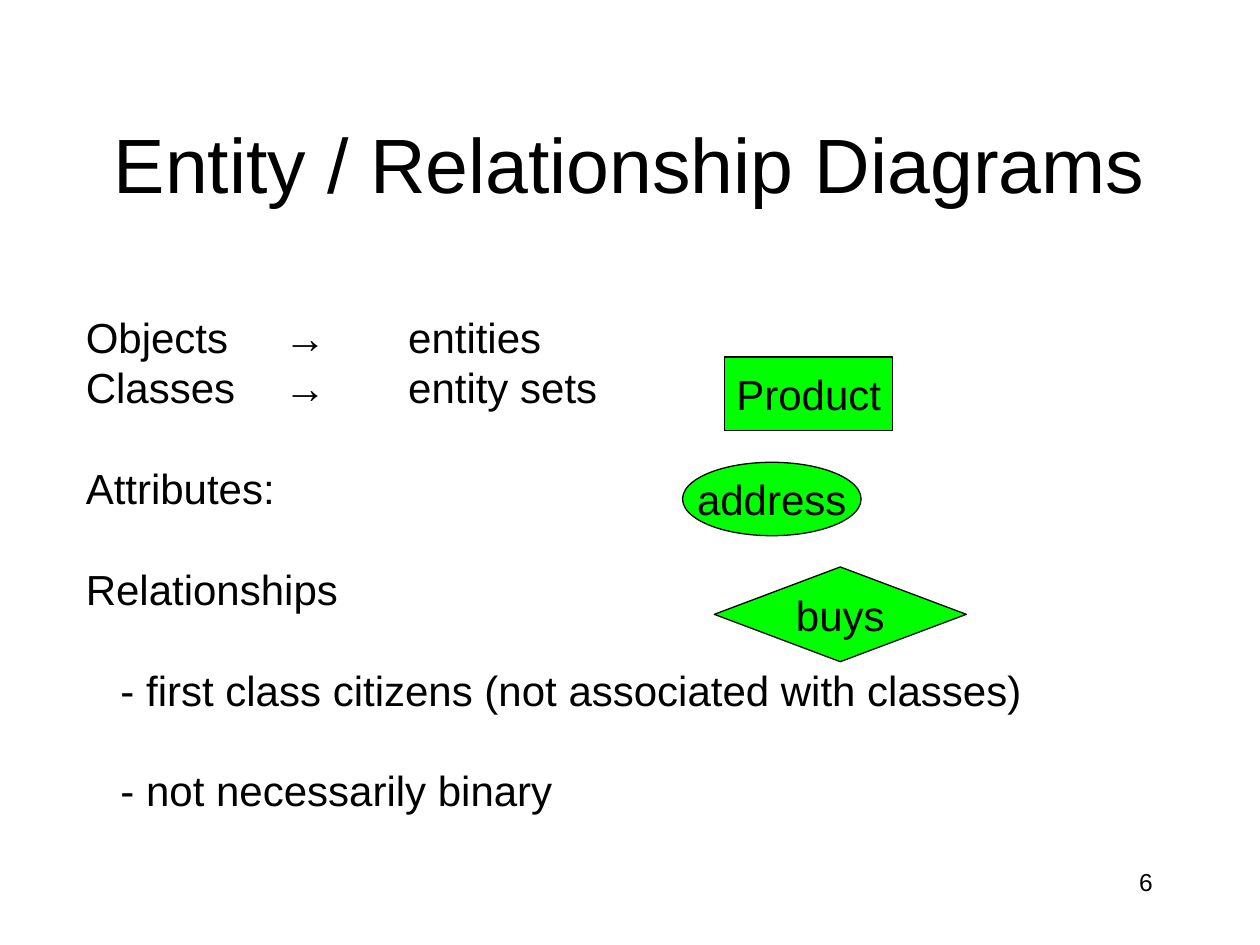
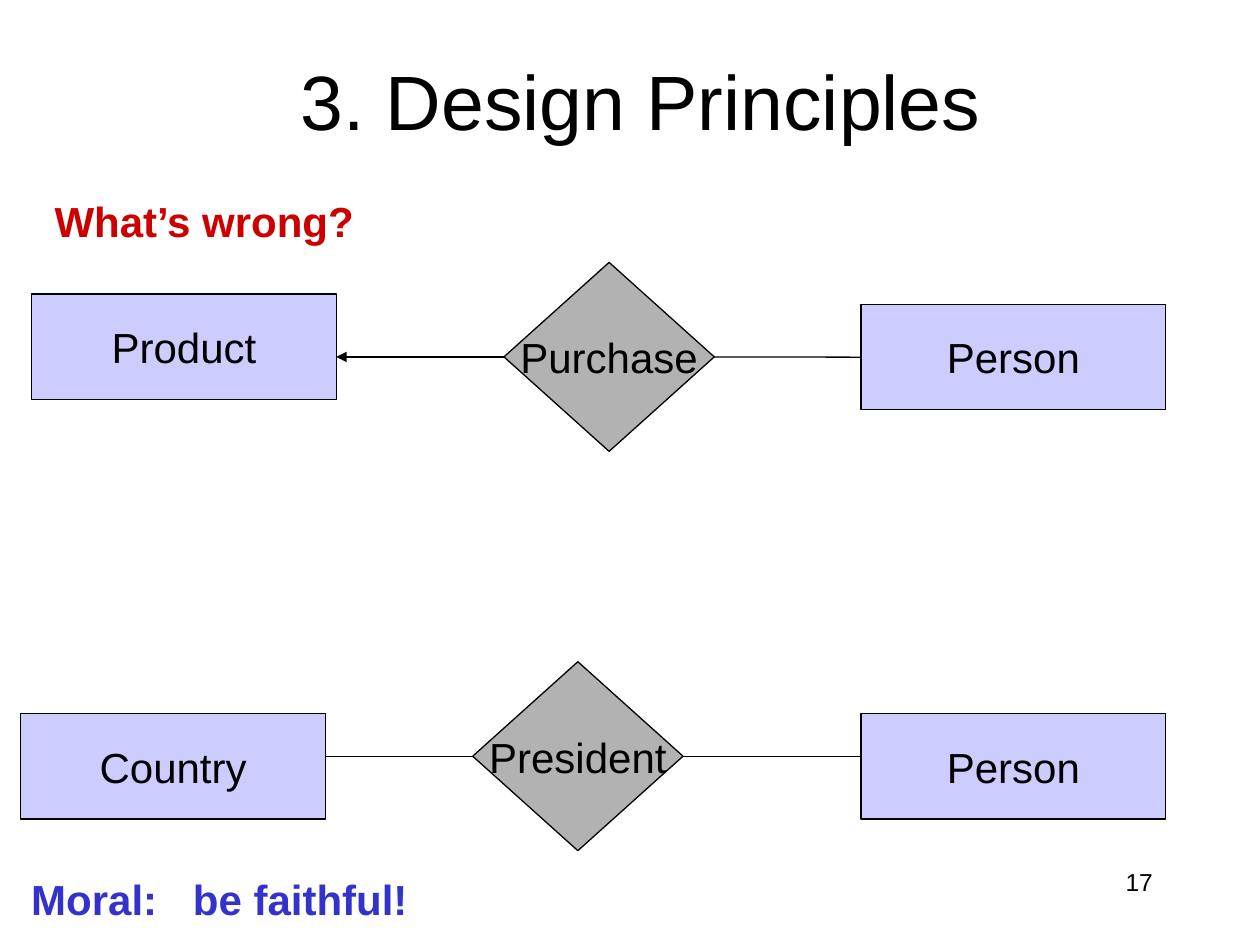
from lxml.etree import SubElement
from pptx import Presentation
from pptx.dml.color import RGBColor
from pptx.enum.shapes import MSO_CONNECTOR, MSO_SHAPE
from pptx.enum.text import MSO_ANCHOR, PP_ALIGN
from pptx.oxml.ns import qn
from pptx.util import Cm, Pt

BLACK, GREEN, GRAY, LILAC = "000000", "00FF00", "B2B2B2", "CCCCFF"
RED, BLUE = "CC0000", "3333CC"
BODY = {"size": Pt(24), "name": "Arial"}
TITLE = {**BODY, "size": Pt(44)}
NUMBER = {**BODY, "size": Pt(14)}
STRONG = {**BODY, "bold": True}
LINE = 28.8
ENTITY_W, ENTITY_H = 6.14, 2.12
DIAMOND_W, DIAMOND_H = 4.24, 3.81


def paint(color, value):
    """Set a colour format from a hex string."""
    color.rgb = RGBColor.from_string(value)


def set_text(p, text, fmt, color=BLACK, tabs=(), **layout):
    """Fill one paragraph with text, tab stops, layout and font."""
    if tabs:
        tab_list = SubElement(p._p.get_or_add_pPr(), qn("a:tabLst"))
        for pos in tabs:
            SubElement(tab_list, qn("a:tab"), pos=str(Cm(pos)), algn="l")
    for key, value in layout.items():
        setattr(p, key, value)
    r = p.add_run()
    r.text = text
    for key, value in fmt.items():
        setattr(r.font, key, value)
    paint(r.font.color, color)


def add_box(s, box, anchor=MSO_ANCHOR.TOP):
    """Add a wrapping text box and return its text frame."""
    tf = s.shapes.add_textbox(*map(Cm, box)).text_frame
    tf.word_wrap = True
    tf.vertical_anchor = anchor
    return tf


def add_frame(prs, title, title_box, number):
    """Add a slide with its title and slide number."""
    s = prs.slides.add_slide(prs.slide_layouts[6])
    tf = add_box(s, title_box, MSO_ANCHOR.MIDDLE)
    set_text(tf.paragraphs[0], title, TITLE, alignment=PP_ALIGN.CENTER)
    tf = add_box(s, (18.2, 17.36, 5.29, 1.27))
    set_text(tf.paragraphs[0], number, NUMBER, alignment=PP_ALIGN.RIGHT)
    return s


def add_node(s, kind, box, text, fill):
    """Add a filled, outlined shape with a centred label."""
    sp = s.shapes.add_shape(kind, *map(Cm, box))
    sp.shadow.inherit = False
    sp.fill.solid()
    paint(sp.fill.fore_color, fill)
    paint(sp.line.color, BLACK)
    sp.line.width = Pt(0.75)
    tf = sp.text_frame
    tf.word_wrap = False
    tf.vertical_anchor = MSO_ANCHOR.MIDDLE
    set_text(tf.paragraphs[0], text, BODY, alignment=PP_ALIGN.CENTER)
    return sp


def add_link(s, diamond, entity, site, arrow=False):
    """Draw a level line from a diamond's corner to an entity's side."""
    y = diamond.top + diamond.height // 2
    x = entity.left + (entity.width if site == 1 else 0)
    link = s.shapes.add_connector(MSO_CONNECTOR.STRAIGHT, diamond.left, y, x, y)
    link.begin_connect(diamond, site)
    if abs(entity.top + entity.height // 2 - y) < Cm(0.02):
        link.end_connect(entity, 4 - site)
    paint(link.line.color, BLACK)
    link.line.width = Pt(0.75)
    if arrow:
        SubElement(link.line._get_or_add_ln(), qn("a:tailEnd"), type="triangle")
    SubElement(link._element.spPr, qn("a:effectLst"))


def add_relationship(s, left, top, first, diamond, second, arrow=False):
    """Place two entities either side of a diamond, each as (text, dx, dy)."""
    def node(part, kind, size, fill):
        text, dx, dy = part
        return add_node(s, kind, (left + dx, top + dy, *size), text, fill)

    middle = node(diamond, MSO_SHAPE.DIAMOND, (DIAMOND_W, DIAMOND_H), GRAY)
    for part, site in ((first, 1), (second, 3)):
        entity = node(part, MSO_SHAPE.RECTANGLE, (ENTITY_W, ENTITY_H), LILAC)
        add_link(s, middle, entity, site, arrow and site == 1)


def add_remark(s, box, text, color, tabs=()):
    """Add a bold coloured line of text."""
    p = add_box(s, box).paragraphs[0]
    set_text(p, text, STRONG, color, tabs, line_spacing=Pt(LINE))


def add_terms(s, box):
    """List the terms of the diagrams, with gaps between the sections."""
    tf = add_box(s, box)
    terms = [
        ("Objects\t→\tentities", 0, 0),
        ("Classes\t→\tentity sets", 0, 0),
        ("Attributes:", 1, 0),
        ("Relationships", 1, 0),
        ("- first class citizens (not associated with classes)", 1, 0.7),
        ("- not necessarily binary", 1, 0.7),
    ]
    for i, (text, gap, indent) in enumerate(terms):
        p = tf.add_paragraph() if i else tf.paragraphs[0]
        if indent:
            p._p.get_or_add_pPr().set("marL", str(Cm(indent)))
        tabs = (4, 6.5) if "\t" in text else ()
        set_text(p, text, BODY, tabs=tabs, line_spacing=Pt(LINE),
                 space_before=Pt(gap * LINE))


def add_symbols(s, left, top):
    """Show the symbol of each kind of term."""
    symbols = [
        (MSO_SHAPE.RECTANGLE, "Product", 0.85, 0, 3.39, 1.48),
        (MSO_SHAPE.OVAL, "address", 0, 2.12, 3.6, 1.48),
        (MSO_SHAPE.DIAMOND, "buys", 0.64, 4.23, 5.08, 1.91),
    ]
    for kind, text, dx, dy, w, h in symbols:
        add_node(s, kind, (left + dx, top + dy, w, h), text, GREEN)


def diagrams_slide(prs):
    """Build the slide on entity and relationship diagrams."""
    s = add_frame(prs, "Entity / Relationship Diagrams",
                  (1.9, 1.7, 21.6, 3.18), "6")
    add_terms(s, (1.48, 6.15, 19.6, 10.5))
    add_symbols(s, 13.76, 7.2)


def principles_slide(prs):
    """Build the slide on design principles."""
    s = add_frame(prs, "3. Design Principles", (2.12, 0.42, 21.6, 3.18), "17")
    add_remark(s, (0.85, 3.81, 6.8, 1.27), "What’s wrong?", RED)
    add_relationship(s, 0.64, 5.29, ("Product", 0, 0.64),
                     ("Purchase", 9.52, 0), ("Person", 16.72, 0.85), arrow=True)
    add_relationship(s, 0.42, 13.34, ("Country", 0, 1.05),
                     ("President", 9.11, 0), ("Person", 16.94, 1.05))
    add_remark(s, (0.38, 17.48, 8.3, 1.27), "Moral:\tbe faithful!", BLUE, (3.26,))


def main():
    """Build and save the presentation."""
    prs = Presentation()
    prs.slide_width, prs.slide_height = Cm(25.4), Cm(19.05)
    diagrams_slide(prs)
    principles_slide(prs)
    prs.save("out.pptx")


if __name__ == "__main__":
    main()
